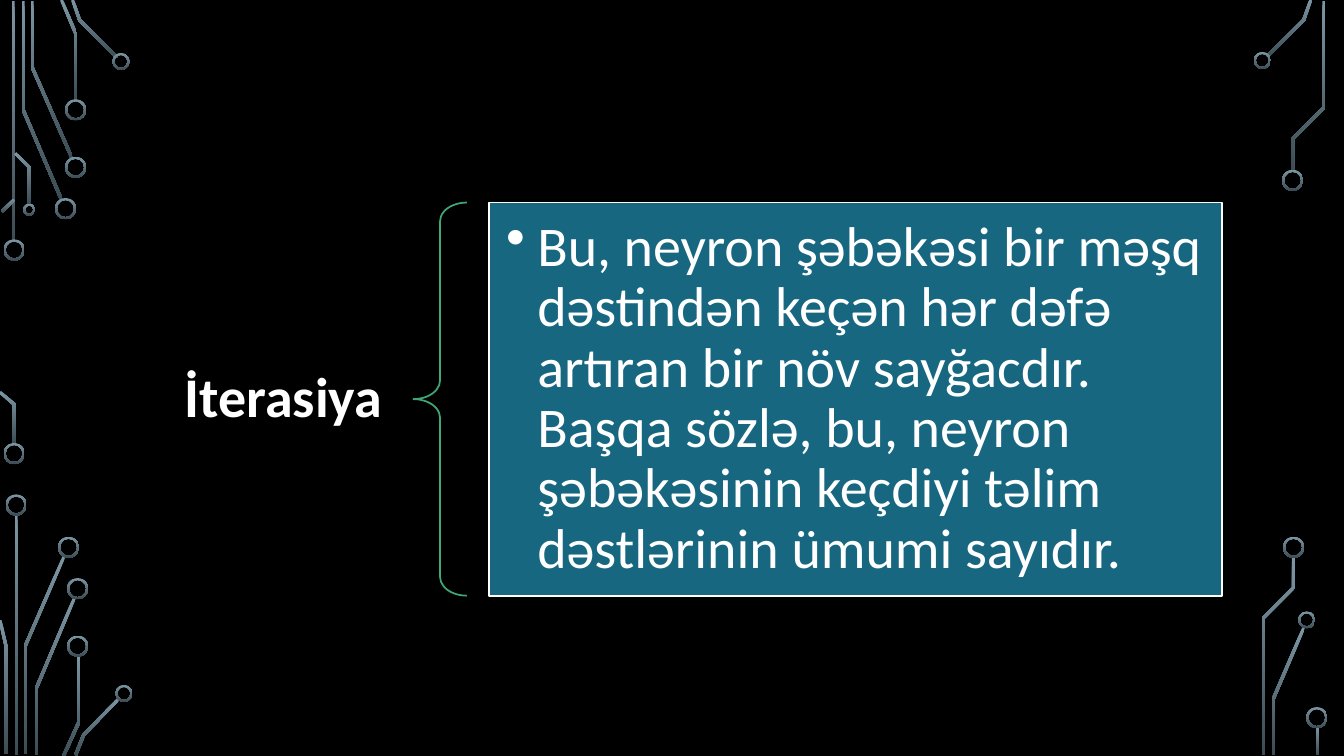
from dataclasses import dataclass
from math import hypot
from typing import Any

from lxml import etree
from pptx import Presentation
from pptx.dml.color import RGBColor
from pptx.enum.shapes import MSO_SHAPE
from pptx.enum.text import MSO_ANCHOR, MSO_AUTO_SIZE, PP_ALIGN
from pptx.oxml.ns import qn
from pptx.util import Pt

RECTANGLE = MSO_SHAPE.RECTANGLE
LEFT_BRACE = MSO_SHAPE.LEFT_BRACE
DONUT = MSO_SHAPE.DONUT
MIDDLE = MSO_ANCHOR.MIDDLE
NO_AUTOFIT = MSO_AUTO_SIZE.NONE
LEFT, RIGHT = PP_ALIGN.LEFT, PP_ALIGN.RIGHT

EMU_PER_PX = 9144
SLIDE_WIDTH, SLIDE_HEIGHT = 1333, 750
TITLE_ONLY_LAYOUT = 5
TRACE_WIDTH = 3
RING_WIDTH = 2
BULLET_INDENT = 31

BLACK, WHITE = "000000", "FFFFFF"
PANEL_BLUE, BRACE_GREEN = "186781", "3FA776"
CIRCUIT_LIGHT, CIRCUIT_DARK = "7C96A3", "3B4C54"

TERM = "İterasiya"
DEFINITION = (
    "Bu, neyron şəbəkəsi bir məşq dəstindən keçən hər dəfə artıran bir növ sayğacdır. "
    "Başqa sözlə, bu, neyron şəbəkəsinin keçdiyi təlim dəstlərinin ümumi sayıdır."
)

Point = tuple[float, float]


@dataclass(frozen=True)
class Box:
    left: int
    top: int
    width: int
    height: int


@dataclass(frozen=True)
class Ring:
    center_x: int
    center_y: int
    diameter: int = 21


@dataclass(frozen=True)
class Trace:
    points: tuple[Point, ...]


TERM_BOX = Box(143, 353, 267, 87)
BRACE_BOX = Box(410, 201, 53, 390)
PANEL_BOX = Box(485, 201, 727, 390)

TRACES = [
    Trace(((13, 1), (13, 240))),
    Trace(((23, 1), (23, 109), (61, 198))),
    Trace(((32, 1), (32, 67), (71, 156))),
    Trace(((61, 0), (75, 33), (75, 100))),
    Trace(((72, 0), (79, 20), (116, 57))),
    Trace(((14, 198), (2, 210))),
    Trace(((0, 389), (14, 401), (14, 441))),
    Trace(((15, 152), (29, 166), (29, 203))),
    Trace(((16, 510), (16, 749))),
    Trace(((64, 551), (25, 641), (25, 748))),
    Trace(((0, 615), (6, 641), (6, 748))),
    Trace(((74, 593), (36, 683), (36, 749))),
    Trace(((78, 650), (78, 717), (63, 750))),
    Trace(((118, 693), (83, 729), (75, 749))),
    Trace(((1300, 0), (1293, 20), (1257, 56))),
    Trace(((1293, 623), (1263, 693), (1263, 749))),
    Trace(((1313, 1), (1313, 107), (1282, 138), (1282, 169))),
    Trace(((1283, 552), (1283, 583), (1253, 613), (1253, 749))),
    Trace(((1307, 721), (1307, 749))),
]

RINGS = [
    Ring(14, 248), Ring(14, 450), Ring(65, 207), Ring(75, 166), Ring(75, 109),
    Ring(120, 61, 17), Ring(29, 208, 12),
    Ring(16, 501), Ring(68, 543), Ring(77, 584), Ring(77, 641), Ring(123, 688, 17),
    Ring(1252, 60, 17), Ring(1282, 179),
    Ring(1296, 615, 17), Ring(1283, 543), Ring(1306, 712),
]


def emu(px: float) -> int:
    return round(px * EMU_PER_PX)


def color(value: str) -> RGBColor:
    return RGBColor.from_string(value)


def apply_format(target: Any, values: dict[str, Any]) -> None:
    for name, value in values.items():
        setattr(target, name, value)


def place(box: Box) -> tuple[int, int, int, int]:
    return emu(box.left), emu(box.top), emu(box.width), emu(box.height)


def paint_circuit(shape: Any) -> None:
    shape.shadow.inherit = False
    shape.line.fill.background()
    shape.fill.gradient()
    shape.fill.gradient_angle = 270
    for stop, value in zip(shape.fill.gradient_stops, (CIRCUIT_LIGHT, CIRCUIT_DARK)):
        stop.color.rgb = color(value)


def outline(shape: Any, value: str) -> None:
    shape.shadow.inherit = False
    shape.line.color.rgb = color(value)
    shape.line.width = Pt(1.25)


def ribbon(points: tuple[Point, ...]) -> list[Point]:
    normals = []
    for (x1, y1), (x2, y2) in zip(points, points[1:]):
        length = hypot(x2 - x1, y2 - y1)
        normals.append(((y1 - y2) / length, (x2 - x1) / length))
    one_side, other_side = [], []
    before_and_after = zip([normals[0], *normals], [*normals, normals[-1]])
    for (x, y), (before, after) in zip(points, before_and_after):
        scale = TRACE_WIDTH / 2 / (1 + before[0] * after[0] + before[1] * after[1])
        offset_x = (before[0] + after[0]) * scale
        offset_y = (before[1] + after[1]) * scale
        one_side.append((x + offset_x, y + offset_y))
        other_side.append((x - offset_x, y - offset_y))
    return one_side + other_side[::-1]


def draw_trace(slide: Any, trace: Trace) -> None:
    corners = [(emu(x), emu(y)) for x, y in ribbon(trace.points)]
    builder = slide.shapes.build_freeform(*corners[0])
    builder.add_line_segments(corners[1:], close=True)
    paint_circuit(builder.convert_to_shape())


def draw_ring(slide: Any, ring: Ring) -> None:
    radius = ring.diameter / 2
    shape = slide.shapes.add_shape(
        DONUT, emu(ring.center_x - radius), emu(ring.center_y - radius),
        emu(ring.diameter), emu(ring.diameter),
    )
    shape.adjustments[0] = RING_WIDTH / ring.diameter
    paint_circuit(shape)


def write_text(shape: Any, text: str, alignment: Any, bold: bool, side: int, edge: int) -> Any:
    frame = shape.text_frame
    frame.text = text
    apply_format(frame, {
        "word_wrap": True, "auto_size": NO_AUTOFIT, "vertical_anchor": MIDDLE,
        "margin_left": emu(side), "margin_right": emu(side),
        "margin_top": emu(edge), "margin_bottom": emu(edge),
    })
    paragraph = frame.paragraphs[0]
    apply_format(paragraph, {"alignment": alignment, "line_spacing": 0.9, "space_before": Pt(0)})
    font = paragraph.runs[0].font
    apply_format(font, {"name": "Calibri", "size": Pt(40), "bold": bold})
    font.color.rgb = color(WHITE)
    return paragraph


def add_bullet(paragraph: Any) -> None:
    properties = paragraph._p.get_or_add_pPr()
    properties.set("marL", str(emu(BULLET_INDENT)))
    properties.set("indent", str(-emu(BULLET_INDENT)))
    etree.SubElement(properties, qn("a:buChar")).set("char", "•")


def draw_definition(slide: Any) -> None:
    title = slide.shapes.title
    apply_format(title, dict(zip(("left", "top", "width", "height"), place(TERM_BOX))))
    write_text(title, TERM, RIGHT, True, 31, 11)

    brace = slide.shapes.add_shape(LEFT_BRACE, *place(BRACE_BOX))
    brace.adjustments[0] = 0.35
    brace.fill.background()
    outline(brace, BRACE_GREEN)

    panel = slide.shapes.add_shape(RECTANGLE, *place(PANEL_BOX))
    panel.fill.solid()
    panel.fill.fore_color.rgb = color(PANEL_BLUE)
    outline(panel, WHITE)
    add_bullet(write_text(panel, DEFINITION, LEFT, False, 17, 17))


def main() -> None:
    presentation = Presentation()
    presentation.slide_width = emu(SLIDE_WIDTH)
    presentation.slide_height = emu(SLIDE_HEIGHT)
    slide = presentation.slides.add_slide(presentation.slide_layouts[TITLE_ONLY_LAYOUT])
    slide.background.fill.solid()
    slide.background.fill.fore_color.rgb = color(BLACK)
    for trace in TRACES:
        draw_trace(slide, trace)
    for ring in RINGS:
        draw_ring(slide, ring)
    draw_definition(slide)
    presentation.save("out.pptx")


if __name__ == "__main__":
    main()
